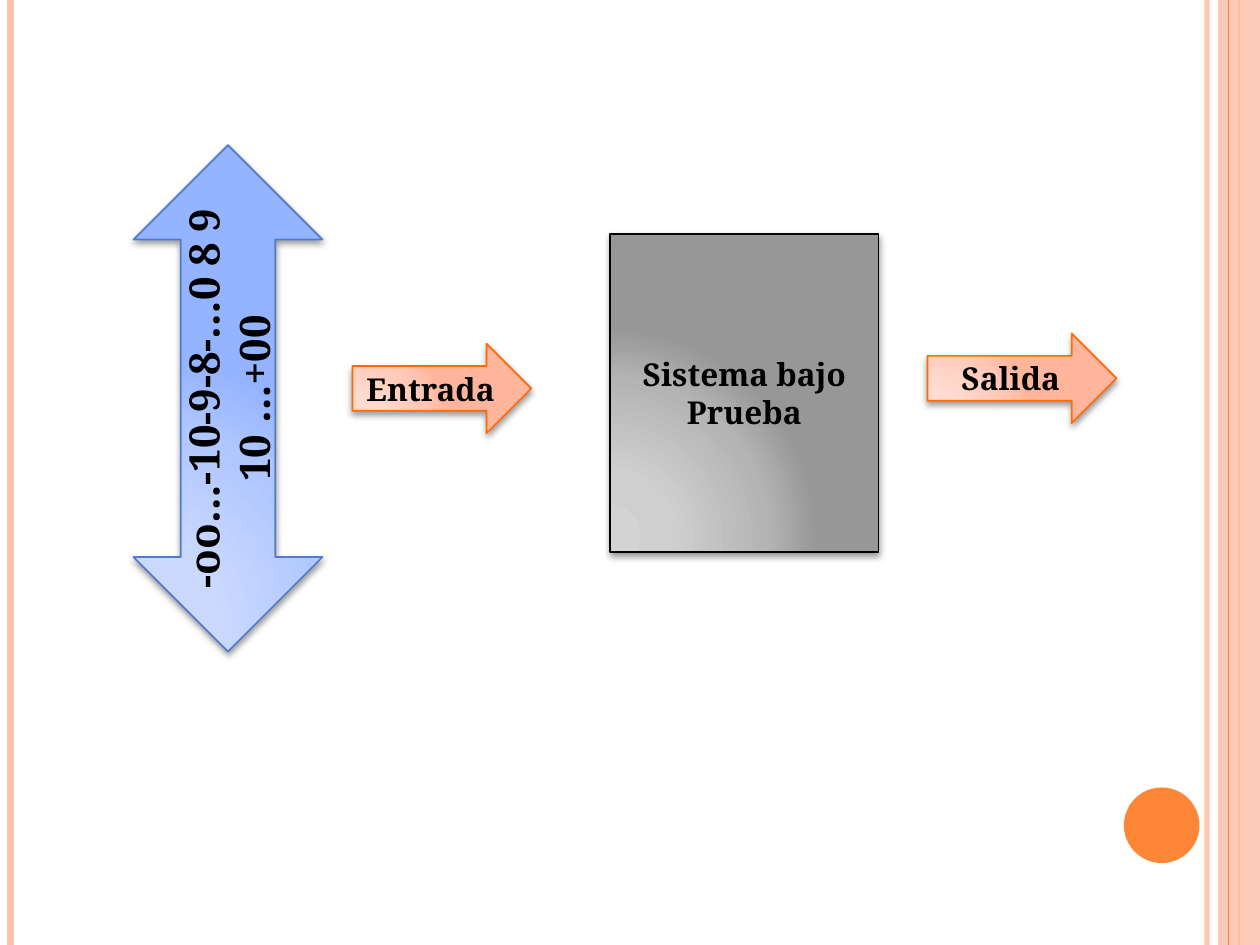
from dataclasses import dataclass

from lxml import etree
from pptx import Presentation
from pptx.dml.color import RGBColor
from pptx.enum.shapes import MSO_CONNECTOR, MSO_SHAPE
from pptx.enum.text import MSO_ANCHOR, PP_ALIGN
from pptx.oxml import parse_xml
from pptx.oxml.ns import qn
from pptx.util import Pt

STRAIGHT = MSO_CONNECTOR.STRAIGHT
RECTANGLE, OVAL = MSO_SHAPE.RECTANGLE, MSO_SHAPE.OVAL
RIGHT_ARROW, DOUBLE_ARROW = MSO_SHAPE.RIGHT_ARROW, MSO_SHAPE.LEFT_RIGHT_ARROW
MIDDLE, CENTER = MSO_ANCHOR.MIDDLE, PP_ALIGN.CENTER
DRAWING_NS = "http://schemas.openxmlformats.org/drawingml/2006/main"


@dataclass(frozen=True)
class Theme:
    font: str = "Noto Serif"
    text: str = "000000"
    large: int = 24
    normal: int = 18
    peach: str = "FEC3AE"
    orange: str = "FE8637"
    # Outline colour, then the gradient colours from light to dark
    blue: tuple = ("4F7CCF", "CFDCFF", "CBD9FF", "AFC6FF", "95B4FF")
    coral: tuple = ("FF6B0A", "FFDED5", "FFDBD0", "FFC8B6", "FFB59B")
    gray: tuple = ("000000", "D3D3D3", "CFCFCF", "B4B4B4", "979797")


theme = Theme()
SLIDE_WIDTH, SLIDE_HEIGHT = 720, 540


def set_alpha(fill, percent):
    """Make a solid fill partly transparent."""
    color = fill._xPr.find(qn("a:solidFill"))[0]
    etree.SubElement(color, qn("a:alpha"), val=str(percent * 1000))


def add_block(slide, kind, box, palette, text, size, rotation=0):
    """Add a labelled shape with a radial gradient and a soft shadow."""
    block = slide.shapes.add_shape(kind, *(Pt(v) for v in box))
    block.rotation = rotation
    outline, *shades = palette
    block.line.color.rgb = RGBColor.from_string(outline)
    block.line.width = Pt(1)
    block.fill.gradient()
    stops = "".join(
        f'<a:gs pos="{position}000"><a:srgbClr val="{shade}"/></a:gs>'
        for position, shade in zip((0, 30, 75, 100), shades)
    )
    properties = block._element.spPr
    properties.replace(properties.find(qn("a:gradFill")), parse_xml(
        f'<a:gradFill xmlns:a="{DRAWING_NS}" rotWithShape="1"><a:gsLst>{stops}</a:gsLst>'
        '<a:path path="circle"><a:fillToRect l="5000" t="100000" r="120000" b="10000"/>'
        '</a:path></a:gradFill>'
    ))
    block.shadow.inherit = False
    properties.find(qn("a:effectLst")).append(parse_xml(
        f'<a:outerShdw xmlns:a="{DRAWING_NS}" blurRad="{Pt(4)}" dist="{Pt(2)}" '
        'dir="5400000" rotWithShape="0"><a:srgbClr val="000000">'
        '<a:alpha val="40000"/></a:srgbClr></a:outerShdw>'
    ))
    frame = block.text_frame
    frame.word_wrap = True
    frame.vertical_anchor = MIDDLE
    label = frame.paragraphs[0]
    label.text = text
    label.alignment = CENTER
    label.font.name = theme.font
    label.font.size = Pt(size)
    label.font.bold = True
    label.font.color.rgb = RGBColor.from_string(theme.text)


deck = Presentation()
deck.slide_width, deck.slide_height = Pt(SLIDE_WIDTH), Pt(SLIDE_HEIGHT)
slide = deck.slides.add_slide(deck.slide_layouts[6])

# Side bands and stripes, from back to front
band_left = 696
band = slide.shapes.add_shape(
    RECTANGLE, Pt(band_left), 0, Pt(SLIDE_WIDTH - band_left), Pt(SLIDE_HEIGHT))
dot = slide.shapes.add_shape(OVAL, Pt(642.24), Pt(450), Pt(43.2), Pt(43.2))
for ornament, color in ((band, theme.peach), (dot, theme.orange)):
    ornament.shadow.inherit = False
    ornament.fill.solid()
    ornament.fill.fore_color.rgb = RGBColor.from_string(color)
    ornament.line.fill.background()
set_alpha(band.fill, 87)

stripes = (
    (689.76, theme.peach, 3, 93, True),
    (6, theme.peach, 4.5, 100, True),
    (708, theme.orange, 1.5, 100, True),
    (702, theme.orange, 0.75, 100, False),
)
for x, color, width, opacity, behind_band in stripes:
    stripe = slide.shapes.add_connector(STRAIGHT, Pt(x), 0, Pt(x), Pt(SLIDE_HEIGHT))
    stripe.line.color.rgb = RGBColor.from_string(color)
    stripe.line.width = Pt(width)
    if opacity < 100:
        set_alpha(stripe.line.fill, opacity)
    etree.SubElement(stripe._element.spPr, qn("a:effectLst"))
    if behind_band:
        band._element.addprevious(stripe._element)

# Flow from the range of values through the system to the result
blocks = (
    (DOUBLE_ARROW, (-14.4, 173.6, 289.4, 108), theme.blue,
     "-oo…-10-9-8-…0 8 9 10 …+00", theme.large, 270),
    (RIGHT_ARROW, (201.4, 196.4, 102.2, 51.2), theme.coral, "Entrada", theme.normal),
    (RECTANGLE, (348.6, 133.8, 153.4, 181.6), theme.gray,
     "Sistema bajo Prueba", theme.normal),
    (RIGHT_ARROW, (530, 190.6, 108, 51.2), theme.coral, "Salida", theme.normal),
)
for block in blocks:
    add_block(slide, *block)

deck.save("out.pptx")
